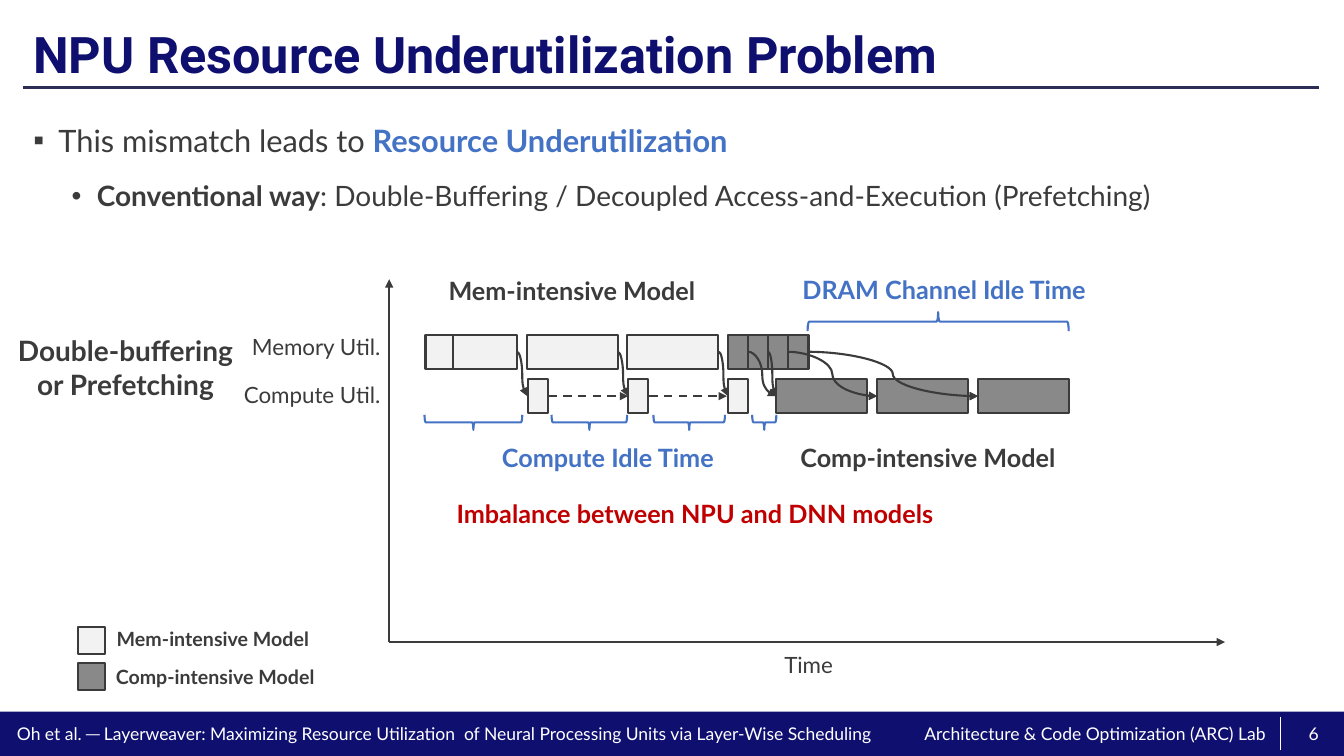
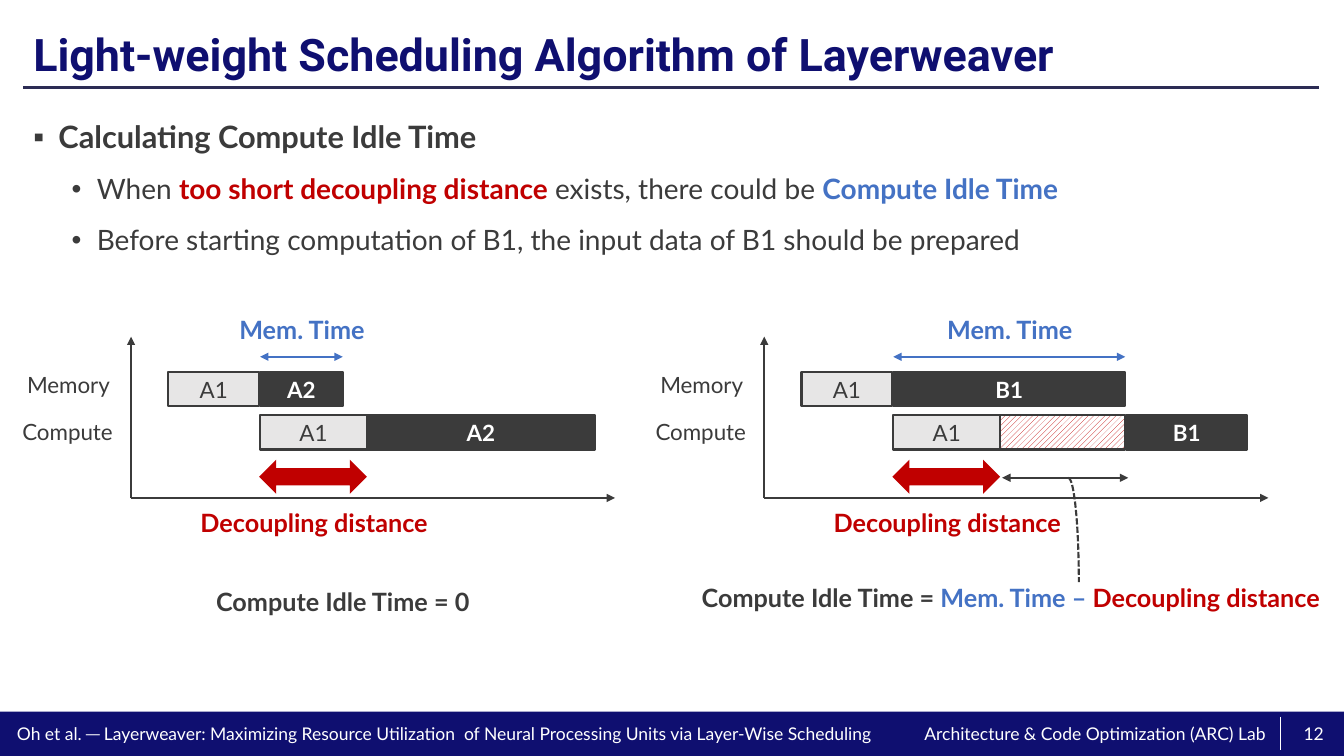
from lxml.etree import SubElement
from pptx import Presentation
from pptx.dml.color import RGBColor
from pptx.enum.dml import MSO_LINE, MSO_PATTERN
from pptx.enum.shapes import MSO_CONNECTOR, MSO_SHAPE
from pptx.enum.text import MSO_ANCHOR, MSO_AUTO_SIZE, PP_ALIGN
from pptx.oxml.ns import qn
from pptx.util import Inches, Pt

NAVY = RGBColor(0x0F, 0x0F, 0x70)
RULE = RGBColor(0x2C, 0x2C, 0x54)
INK = RGBColor(0x3B, 0x3B, 0x3B)
BLUE = RGBColor(0x44, 0x72, 0xC4)
RED = RGBColor(0xC0, 0x00, 0x00)
WHITE = RGBColor(0xFF, 0xFF, 0xFF)
PALE = RGBColor(0xF2, 0xF2, 0xF2)
LIGHT = RGBColor(0xE7, 0xE6, 0xE6)
GRAY = RGBColor(0x89, 0x89, 0x89)
RECT = MSO_SHAPE.RECTANGLE
STRAIGHT, CURVE = MSO_CONNECTOR.STRAIGHT, MSO_CONNECTOR.CURVE
LEFT, CENTER = PP_ALIGN.LEFT, PP_ALIGN.CENTER


def draw(slide, kind, box, runs=(), size=16, align=CENTER, fill=None, edge=None):
    """Add a preset shape, or a text box if kind is None; runs are (text, colour, bold)."""
    place = [Inches(v) for v in box]
    if kind is None:
        shape = slide.shapes.add_textbox(*place)
        shape.text_frame.word_wrap = False
    else:
        shape = slide.shapes.add_shape(kind, *place)
        shape.shadow.inherit = False
        shape.text_frame.vertical_anchor = MSO_ANCHOR.MIDDLE
        if fill is None:
            shape.fill.background()
        else:
            shape.fill.solid()
            shape.fill.fore_color.rgb = fill
        if edge is None:
            shape.line.fill.background()
        else:
            shape.line.color.rgb = edge
            shape.line.width = Pt(1.5)
    para = shape.text_frame.paragraphs[0]
    para.alignment = align
    for text, color, bold in runs:
        if text == "\n":
            para.add_line_break()
            continue
        run = para.add_run()
        run.text = text
        font = run.font
        font.name, font.size, font.bold = "Lato", Pt(size), bold
        font.color.rgb = color
    return shape


def link(slide, ends, color=INK, kind=STRAIGHT, width=1.5, tips=("tailEnd",), dash=None):
    """Add a connector between two points, with arrowheads at the named tips."""
    line = slide.shapes.add_connector(kind, *[Inches(v) for v in ends])
    line.line.color.rgb = color
    line.line.width = Pt(width)
    if dash:
        line.line.dash_style = dash
    props = line.element.spPr
    for tip in tips:
        SubElement(props.find(qn("a:ln")), qn("a:" + tip), type="triangle")
    SubElement(props, qn("a:effectLst"))


prs = Presentation()
prs.slide_width, prs.slide_height = Inches(13.33), Inches(7.5)

# Shared layout: placeholders, rule and footer band
layout = prs.slide_layouts[1]
for holder in list(layout.placeholders):
    if holder.placeholder_format.idx > 1:
        layout.shapes.element.remove(holder.element)
for holder, top, high in zip(layout.placeholders, (0.18, 1.01), (0.77, 1.9)):
    holder.left, holder.top = Inches(0.23), Inches(top)
    holder.width, holder.height = Inches(12.86), Inches(high)

util, sched = [prs.slides.add_slide(layout) for _ in range(2)]
draw(util, RECT, (0, 7.06, 13.33, 0.44), fill=NAVY)
draw(util, None, (9.07, 7.12, 3.79, 0.31),
     [("Architecture & Code Optimization (ARC) Lab", WHITE, False)], 12.5, LEFT)
draw(util, None, (0.07, 7.12, 8.67, 0.31),
     [("Oh et al. ─ Layerweaver: Maximizing Resource Utilization  of Neural "
       "Processing Units via Layer-Wise Scheduling", WHITE, False)], 12.5)
link(util, (0.23, 0.87, 13.08, 0.87), RULE, width=2, tips=())
link(util, (12.7, 7.11, 12.7, 7.44), WHITE, width=0.5, tips=())
for shape in list(util.shapes):
    if not shape.is_placeholder:
        layout.shapes.element.append(shape.element)

# Titles, lists and page numbers
pages = [
    (util, "NPU Resource Underutilization Problem", 36, "6", 1.4, [
        (0, [("This mismatch leads to ", INK, False),
             ("Resource Underutilization", BLUE, True)]),
        (1, [("Conventional way", INK, True),
             (": Double-Buffering / Decoupled Access-and-Execution (Prefetching)",
              INK, False)])]),
    (sched, "Light-weight Scheduling Algorithm of Layerweaver", 32, "12", 1.3, [
        (0, [("Calculating Compute Idle Time", INK, True)]),
        (1, [("When ", INK, False), ("too short decoupling distance ", RED, True),
             ("exists, there could be ", INK, False),
             ("Compute Idle Time", BLUE, True)]),
        (1, [("Before starting computation of B1, the input data of B1 should be "
              "prepared", INK, False)])]),
]
levels = [(22, 10, 0.25, "▪"), (20, 5, 0.63, "•")]
for slide, title, size, number, space, items in pages:
    frame = slide.shapes.title.text_frame
    frame.auto_size = MSO_AUTO_SIZE.NONE
    frame.vertical_anchor = MSO_ANCHOR.MIDDLE
    para = frame.paragraphs[0]
    para.alignment, para.line_spacing = LEFT, 0.9
    run = para.add_run()
    run.text = title
    run.font.name, run.font.size, run.font.bold = "Roboto", Pt(size), True
    run.font.color.rgb = NAVY

    frame = slide.placeholders[1].text_frame
    frame.auto_size = MSO_AUTO_SIZE.NONE
    for i, (level, runs) in enumerate(items):
        para = frame.add_paragraph() if i else frame.paragraphs[0]
        points, before, margin, mark = levels[level]
        para.level, para.line_spacing = level, space
        para.space_before = Pt(before)
        props = para._p.get_or_add_pPr()
        props.set("marL", str(Inches(margin)))
        props.set("indent", str(Inches(-0.25)))
        SubElement(props, qn("a:buFont"), typeface="Arial")
        SubElement(props, qn("a:buChar"), char=mark)
        for text, color, bold in runs:
            run = para.add_run()
            run.text = text
            run.font.name, run.font.size, run.font.bold = "Lato", Pt(points), bold
            run.font.color.rgb = color
    draw(slide, None, (12.79, 7.12, 0.48, 0.31), [(number, WHITE, False)], 12.5)

# Utilization timeline: axes and labels
link(util, (3.86, 6.37, 3.86, 2.77))
link(util, (3.86, 6.37, 12.15, 6.37))
for x, y, w, h, text, size, color, bold in [
    (4.43, 4.89, 4.99, 0.4, "Imbalance between NPU and DNN models", 18, RED, True),
    (7.68, 6.41, 0.69, 0.37, "Time", 16, INK, False),
    (7.86, 2.67, 3.05, 0.4, "DRAM Channel Idle Time", 18, BLUE, True),
    (4.88, 4.34, 2.34, 0.4, "Compute Idle Time", 18, BLUE, True),
    (2.32, 3.73, 1.58, 0.37, "Compute Util.", 16, INK, False),
    (2.4, 3.26, 1.5, 0.37, "Memory Util.", 16, INK, False),
    (4.35, 2.68, 2.69, 0.4, "Mem-intensive Model", 18, INK, True),
    (7.84, 4.34, 2.77, 0.4, "Comp-intensive Model", 18, INK, True),
    (1.06, 6.17, 2.14, 0.34, "Mem-intensive Model", 14, INK, True),
    (1.05, 6.55, 2.2, 0.34, "Comp-intensive Model", 14, INK, True),
]:
    draw(util, None, (x, y, w, h), [(text, color, bold)], size, LEFT)
draw(util, None, (0.06, 3.26, 2.37, 0.77),
     [("Double-buffering", INK, True), ("\n", INK, True),
      ("or Prefetching", INK, True)], 20)

# Idle-time braces, given by their visible left, middle, span and depth
for x, y, span, deep, turn in [
    (8.01, 3.19, 2.59, 0.19, 270), (4.21, 4.19, 0.97, 0.15, 90),
    (5.47, 4.19, 0.75, 0.15, 90), (6.48, 4.19, 0.71, 0.15, 90),
    (7.46, 4.19, 0.24, 0.15, 90),
]:
    box = (x + (span - deep) / 2, y - span / 2, deep, span)
    draw(util, MSO_SHAPE.RIGHT_BRACE, box, edge=BLUE).rotation = turn

# Memory and compute blocks, then the legend keys
MEM, COMP = 3.32, 3.76
blocks = [(4.22, MEM, 0.27, PALE), (4.49, MEM, 0.64, PALE),
          (5.23, MEM, 0.9, PALE), (6.22, MEM, 0.9, PALE)]
blocks += [(5.24 + 0.99 * i, COMP, 0.2, PALE) for i in range(3)]
blocks += [(7.22 + 0.2 * i, MEM, 0.2, GRAY) for i in range(4)]
blocks += [(7.7 + i, COMP, 0.9, GRAY) for i in range(3)]
for x, y, w, fill in blocks:
    draw(util, RECT, (x, y, w, 0.34), fill=fill, edge=INK)
for y, fill in [(6.22, PALE), (6.58, GRAY)]:
    draw(util, RECT, (0.77, y, 0.27, 0.27), fill=fill, edge=INK)

for start, end in [(5.13, 5.23), (6.13, 6.23), (7.13, 7.22), (7.42, 7.7),
                   (7.62, 7.7), (7.81, 8.7), (8.01, 9.7)]:
    link(util, (start, 3.49, end, 3.93), kind=CURVE)
for start, end, dash in [(5.44, 6.23, MSO_LINE.DASH), (6.44, 7.21, MSO_LINE.DASH),
                         (8.6, 8.7, None), (9.6, 9.7, None)]:
    link(util, (start, 3.93, end, 3.93), dash=dash)

# Scheduling: two timelines on the same grid
BOTH = ("headEnd", "tailEnd")
for x, axis, name, load, start, work in [
    (1.3, 4.8, "A2", 0.82, 2.34, 2.26),
    (7.58, 5, "B1", 2.3, 3.59, 1.2),
]:
    link(sched, (x, 4.94, x + axis, 4.94))
    link(sched, (x, 4.94, x, 3.34))
    for left, y, w, text, dark in [
        (0.37, 3.69, 0.9, "A1", False), (1.28, 4.12, 1.06, "A1", False),
        (1.28, 3.69, load, name, True), (start, 4.12, work, name, True),
    ]:
        draw(sched, RECT, (x + left, y, w, 0.34),
             [(text, WHITE if dark else INK, dark)],
             fill=INK if dark else LIGHT, edge=INK)
    draw(sched, None, (x - 1.19, 4.1, 1.12, 0.37), [("Compute", INK, False)])
    draw(sched, None, (x - 1.14, 3.63, 1.04, 0.37), [("Memory", INK, False)])
    link(sched, (x + 1.28, 3.54, x + 1.28 + load, 3.54), BLUE, tips=BOTH)
    draw(sched, None, (x + 0.55 + load / 2, 3.07, 1.47, 0.4),
         [("Mem. Time", BLUE, True)], 18)
    draw(sched, MSO_SHAPE.LEFT_RIGHT_ARROW, (x + 1.27, 4.56, 1.07, 0.34), fill=RED)
    draw(sched, None, (x + 0.57, 4.98, 2.49, 0.4),
         [("Decoupling distance", RED, True)], 18)

# Idle gap and the two formulas
gap = draw(sched, RECT, (9.92, 4.12, 1.24, 0.34), fill=WHITE, edge=INK)
gap.fill.patterned()
gap.fill.pattern = MSO_PATTERN.WIDE_UPWARD_DIAGONAL
gap.fill.fore_color.rgb, gap.fill.back_color.rgb = RED, WHITE
link(sched, (9.94, 4.74, 11.19, 4.74), tips=BOTH)
arc = draw(sched, MSO_SHAPE.ARC, (10.49, 4.74, 0.21, 2.07), edge=INK)
arc.line.dash_style = MSO_LINE.SQUARE_DOT
draw(sched, None, (1.97, 5.77, 2.86, 0.4), [("Compute Idle Time = 0", INK, True)], 18)
draw(sched, None, (6.83, 5.73, 6.39, 0.4),
     [("Compute Idle Time =", INK, True), (" Mem. Time – ", BLUE, True),
      ("Decoupling distance", RED, True)], 18)

prs.save("out.pptx")
